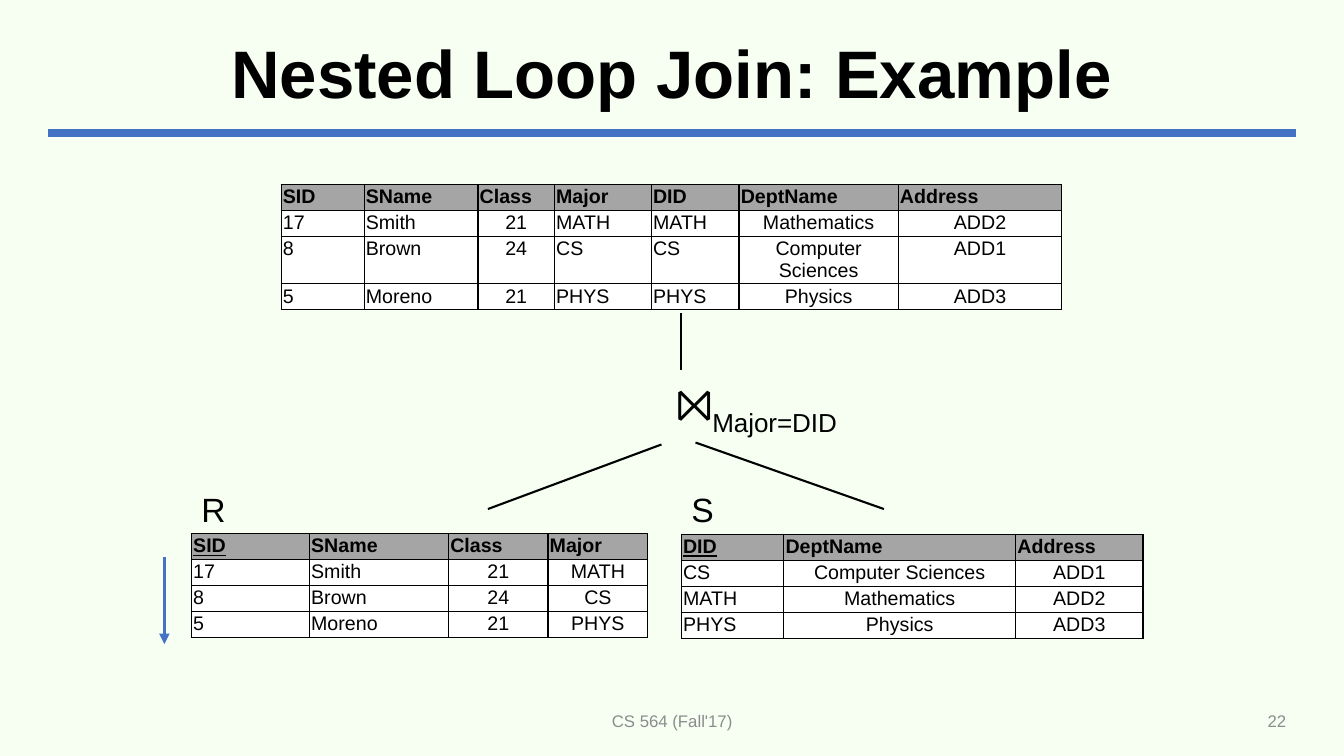
from dataclasses import dataclass
from typing import Any

import pptx
import pptx.dml.color
import pptx.enum.shapes
import pptx.enum.text
import pptx.oxml.ns
import pptx.util
from lxml import etree

Pt = pptx.util.Pt
RGBColor = pptx.dml.color.RGBColor
Align = pptx.enum.text.PP_ALIGN
Anchor = pptx.enum.text.MSO_ANCHOR
qn = pptx.oxml.ns.qn

BLACK = RGBColor(0x00, 0x00, 0x00)
WHITE = RGBColor(0xFF, 0xFF, 0xFF)
BLUE = RGBColor(0x44, 0x72, 0xC4)
HEADER_GREY = RGBColor(0xA5, 0xA5, 0xA5)
FOOTER_GREY = RGBColor(0x8C, 0x8C, 0x8C)
PALE_GREEN = RGBColor(0xF7, 0xFF, 0xF3)

FONT = "Arial"
ROW_HEIGHT = 18.6
CELL_MARGIN = Pt(1.2)
CELL_FORMAT = {f"margin_{side}": CELL_MARGIN for side in ("left", "right", "top", "bottom")}


@dataclass
class Relation:
    left: float
    top: float
    widths: list[float]
    rows: list[list[str]]
    centred: set[str]
    key: str = ""


@dataclass
class Line:
    start: tuple[float, float]
    end: tuple[float, float]
    width: float = 1.5
    color: RGBColor = BLACK
    arrow: bool = False


@dataclass
class Label:
    text: str
    left: float
    top: float
    width: float
    height: float
    size: float
    color: RGBColor = BLACK
    align: Align = Align.LEFT
    subscript: str = ""
    margin: float = 7.2
    anchor: Anchor = Anchor.MIDDLE


RELATIONS = [
    Relation(136.8, 381, [84.3, 99.4, 71, 71.3],
             [["SID", "SName", "Class", "Major"],
              ["17", "Smith", "21", "MATH"],
              ["8", "Brown", "24", "CS"],
              ["5", "Moreno", "21", "PHYS"]],
             {"Class", "Major"}, "SID"),
    Relation(486.7, 381.6, [73.2, 165.6, 90.9],
             [["DID", "DeptName", "Address"],
              ["CS", "Computer Sciences", "ADD1"],
              ["MATH", "Mathematics", "ADD2"],
              ["PHYS", "Physics", "ADD3"]],
             {"DeptName", "Address"}, "DID"),
    Relation(200.9, 131.6, [59.2, 81.4, 54.6, 69.2, 62.7, 113.7, 116.9],
             [["SID", "SName", "Class", "Major", "DID", "DeptName", "Address"],
              ["17", "Smith", "21", "MATH", "MATH", "Mathematics", "ADD2"],
              ["8", "Brown", "24", "CS", "CS", "Computer Sciences", "ADD1"],
              ["5", "Moreno", "21", "PHYS", "PHYS", "Physics", "ADD3"]],
             {"Class", "DeptName", "Address"}),
]

LINES = [
    Line((34.6, 95), (925.4, 95), 6, BLUE),
    Line((486.7, 223.9), (486.7, 264.2)),
    Line((472.5, 317.5), (348.5, 363.6)),
    Line((496.8, 316.1), (631.4, 363.6)),
    Line((117.4, 398.2), (117.4, 460.1), 2.5, BLUE, arrow=True),
]

LABELS = [
    Label("CS 564 (Fall'17)", 318.2, 500.4, 324, 28.8, 12, FOOTER_GREY, Align.CENTER),
    Label("22", 678.2, 500.4, 247.7, 28.8, 12, FOOTER_GREY, Align.RIGHT),
    Label("⨝", 483, 264.2, 130, 52.6, 32, subscript="Major=DID", margin=0),
    Label("R", 136.8, 345.6, 31.7, 36, 24, anchor=Anchor.TOP),
    Label("S", 486.7, 345.6, 30.9, 36, 24, anchor=Anchor.TOP),
]


def apply_format(target: Any, values: dict[str, Any]) -> None:
    for name, value in values.items():
        setattr(target, name, value)


def format_font(font: Any, color: RGBColor = BLACK, **values: Any) -> None:
    apply_format(font, {"name": FONT, **values})
    font.color.rgb = color


def add_borders(cell: Any) -> None:
    properties = cell._tc.get_or_add_tcPr()
    for side in ("lnL", "lnR", "lnT", "lnB"):
        border = etree.SubElement(properties, qn(f"a:{side}"), w=str(Pt(1)))
        fill = etree.SubElement(border, qn("a:solidFill"))
        etree.SubElement(fill, qn("a:srgbClr"), val=str(BLACK))


def add_relation(slide: Any, relation: Relation) -> None:
    header = relation.rows[0]
    table = slide.shapes.add_table(
        len(relation.rows), len(header), Pt(relation.left), Pt(relation.top),
        Pt(sum(relation.widths)), Pt(ROW_HEIGHT * len(relation.rows))).table
    table.horz_banding = False
    for column, width in zip(table.columns, relation.widths):
        column.width = Pt(width)
    for r, row in enumerate(relation.rows):
        table.rows[r].height = Pt(ROW_HEIGHT)
        for c, (attribute, value) in enumerate(zip(header, row)):
            cell = table.cell(r, c)
            is_header = r == 0
            apply_format(cell, {"text": value, **CELL_FORMAT})
            add_borders(cell)
            cell.fill.solid()
            cell.fill.fore_color.rgb = HEADER_GREY if is_header else WHITE
            paragraph = cell.text_frame.paragraphs[0]
            centred = attribute in relation.centred and not is_header
            paragraph.alignment = Align.CENTER if centred else Align.LEFT
            format_font(paragraph.runs[0].font, size=Pt(14), bold=is_header,
                        underline=is_header and value == relation.key)


def add_line(slide: Any, line: Line) -> None:
    connector = slide.shapes.add_connector(
        pptx.enum.shapes.MSO_CONNECTOR.STRAIGHT,
        *(Pt(value) for value in line.start + line.end))
    connector.line.width = Pt(line.width)
    connector.line.color.rgb = line.color
    if line.arrow:
        etree.SubElement(connector.line._get_or_add_ln(), qn("a:tailEnd"), type="triangle")
    etree.SubElement(connector._element.spPr, qn("a:effectLst"))


def add_label(slide: Any, label: Label) -> None:
    frame = slide.shapes.add_textbox(
        Pt(label.left), Pt(label.top), Pt(label.width), Pt(label.height)).text_frame
    apply_format(frame, {"word_wrap": True, "vertical_anchor": label.anchor,
                         "margin_left": Pt(label.margin), "margin_right": Pt(label.margin)})
    paragraph = frame.paragraphs[0]
    paragraph.alignment = label.align
    for text in filter(None, (label.text, label.subscript)):
        run = paragraph.add_run()
        run.text = text
        format_font(run.font, label.color, size=Pt(label.size))
        if text == label.subscript:
            run.font._element.set("baseline", "-25000")


def format_title(title: Any) -> None:
    apply_format(title, {"left": Pt(34.6), "top": Pt(17.3),
                         "width": Pt(890.6), "height": Pt(74.9)})
    frame = title.text_frame
    apply_format(frame, {"text": "Nested Loop Join: Example", "word_wrap": True,
                         "vertical_anchor": Anchor.MIDDLE})
    paragraph = frame.paragraphs[0]
    apply_format(paragraph, {"alignment": Align.CENTER, "line_spacing": 0.9})
    format_font(paragraph.runs[0].font, size=Pt(48), bold=True)


def main() -> None:
    presentation = pptx.Presentation()
    apply_format(presentation, {"slide_width": Pt(960), "slide_height": Pt(540)})
    slide = presentation.slides.add_slide(presentation.slide_layouts[5])
    slide.background.fill.solid()
    slide.background.fill.fore_color.rgb = PALE_GREEN
    format_title(slide.shapes.title)
    for relation in RELATIONS:
        add_relation(slide, relation)
    for line in LINES:
        add_line(slide, line)
    for label in LABELS:
        add_label(slide, label)
    presentation.save("out.pptx")


if __name__ == "__main__":
    main()
